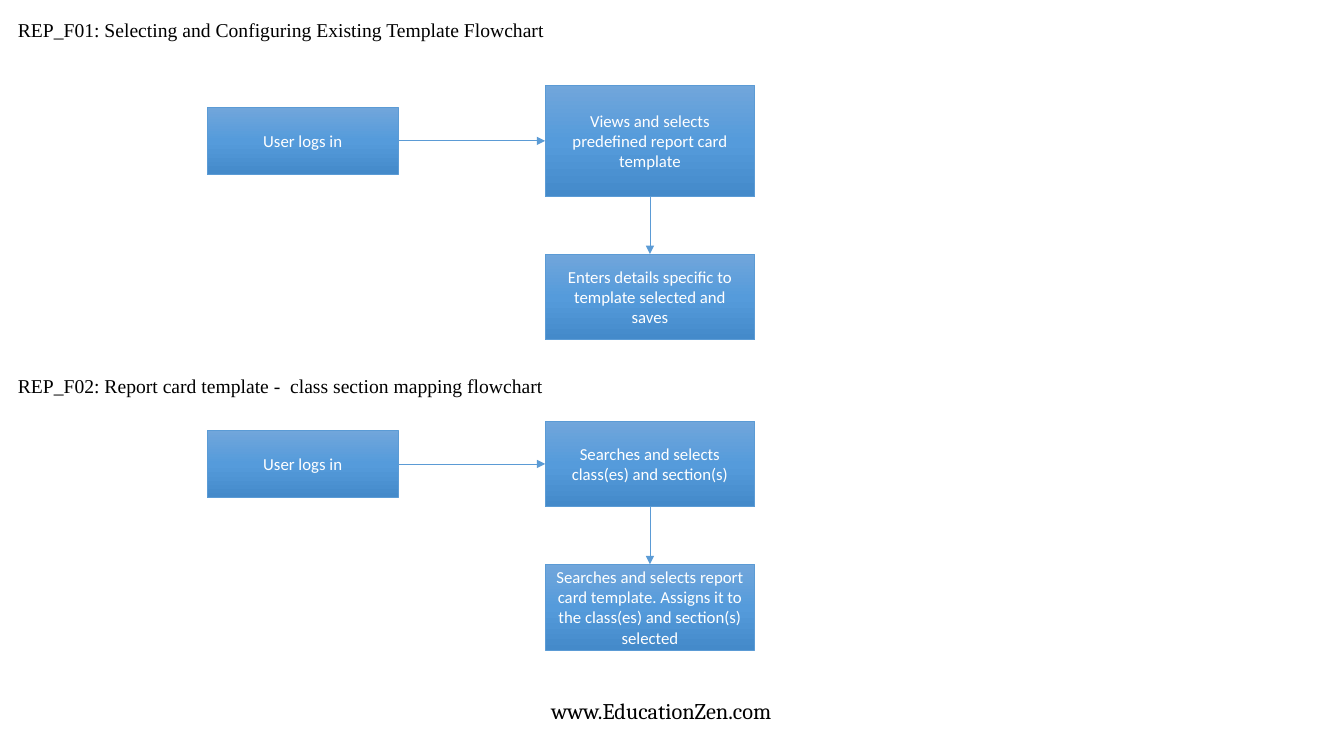
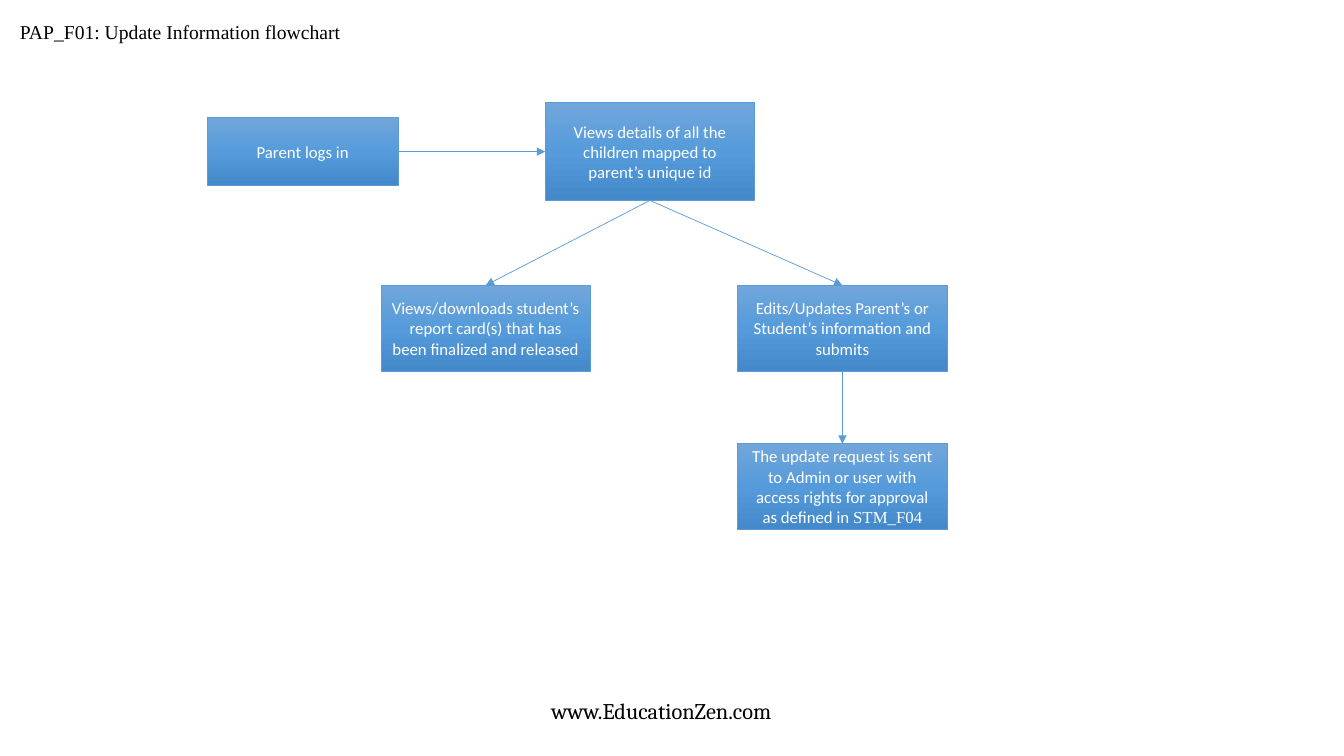
"""Build the report card and parent portal flowchart slides."""
import copy

import lxml.etree
import pptx
import pptx.dml.color
import pptx.enum.shapes
import pptx.enum.text
import pptx.oxml.ns
import pptx.util

Cm = pptx.util.Cm
Pt = pptx.util.Pt
RGBColor = pptx.dml.color.RGBColor
PP_ALIGN = pptx.enum.text.PP_ALIGN
qn = pptx.oxml.ns.qn

BLACK = RGBColor(0x00, 0x00, 0x00)
WHITE = RGBColor(0xFF, 0xFF, 0xFF)
LINE_BLUE = RGBColor(0x5B, 0x9B, 0xD5)
GRADIENT = [
    (0, RGBColor(0x71, 0xA6, 0xDB)),
    (0.5, RGBColor(0x55, 0x9B, 0xDB)),
    (1, RGBColor(0x44, 0x8A, 0xCA)),
]
BODY_FONT, TITLE_FONT, FOOTER_FONT = "Calibri", "Times New Roman", "Cambria"

FOOTER = "www.EducationZen.com"
TOP, LEFT, BOTTOM, RIGHT = range(4)
COLUMNS = {"login": 7.63, "left": 12.24, "main": 16.38, "right": 21.23}
LOGIN_SIZE = (4.8, 1.7)
STEP_WIDTH, STEP_HEIGHT = 5.28, 2.16

SLIDES = [
    {
        "titles": [
            (0.2, 0.23, "REP_F01: Selecting and Configuring Existing Template Flowchart"),
            (0.2, 9.22, "REP_F02: Report card template -  class section mapping flowchart"),
        ],
        "boxes": {
            "login 1": ("login", 3.55, ["User logs in"]),
            "template": ("main", 3.55, ["Views and selects predefined report card template"], 2.82),
            "details": ("main", 7.48, ["Enters details specific to template selected and saves"]),
            "login 2": ("login", 11.69, ["User logs in"]),
            "classes": ("main", 11.69, ["Searches and selects class(es) and section(s)"]),
            "assign": ("main", 15.3, ["Searches and selects report card template. "
                                      "Assigns it to the class(es) and section(s) selected"]),
        },
        "arrows": [
            ("login 1", RIGHT, "template", LEFT),
            ("template", BOTTOM, "details", TOP),
            ("login 2", RIGHT, "classes", LEFT),
            ("classes", BOTTOM, "assign", TOP),
        ],
    },
    {
        "titles": [(0.25, 0.3, "PAP_F01: Update Information flowchart")],
        "boxes": {
            "login": ("login", 3.82, ["Parent logs in"]),
            "children": ("main", 3.82, ["Views details of all the children mapped to "
                                        "parent’s unique id"], 2.46),
            "report": ("left", 8.27, ["Views/downloads student’s report card(s) that has "
                                      "been finalized and released"]),
            "edit": ("right", 8.27, ["Edits/Updates Parent’s or Student’s information and submits"]),
            "approval": ("right", 12.26, ["The update request is sent to Admin or user with "
                                          "access rights for approval as defined in ", "STM_F04"]),
        },
        "arrows": [
            ("login", RIGHT, "children", LEFT),
            ("children", BOTTOM, "report", TOP),
            ("children", BOTTOM, "edit", TOP),
            ("edit", BOTTOM, "approval", TOP),
        ],
    },
]


def add_run(p, text, font, size, color):
    r = p.add_run()
    r.text = text
    r.font.name = font
    r.font.size = Pt(size)
    r.font.color.rgb = color


def add_label(slide, box, text, font, size, align=PP_ALIGN.LEFT, spacing=1):
    tf = slide.shapes.add_textbox(*map(Cm, box)).text_frame
    tf.word_wrap = True
    tf.auto_size = pptx.enum.text.MSO_AUTO_SIZE.SHAPE_TO_FIT_TEXT
    p = tf.paragraphs[0]
    p.alignment = align
    p.line_spacing = spacing
    add_run(p, text, font, size, BLACK)


def fill_gradient(s):
    s.fill.gradient()
    s.fill.gradient_angle = 270
    stops = s.element.spPr.find(".//" + qn("a:gsLst"))
    stops.append(copy.deepcopy(stops[0]))
    for stop, (position, color) in zip(s.fill.gradient_stops, GRADIENT):
        stop.position = position
        stop.color.rgb = color


def add_box(slide, column, middle, texts, height=STEP_HEIGHT):
    w, h = LOGIN_SIZE if column == "login" else (STEP_WIDTH, height)
    s = slide.shapes.add_shape(
        pptx.enum.shapes.MSO_SHAPE.FLOWCHART_PROCESS,
        Cm(COLUMNS[column] - w / 2), Cm(middle - h / 2), Cm(w), Cm(h))
    s.shadow.inherit = False
    fill_gradient(s)
    s.line.color.rgb = LINE_BLUE
    s.line.width = Pt(0.5)
    tf = s.text_frame
    tf.word_wrap = True
    tf.vertical_anchor = pptx.enum.text.MSO_ANCHOR.MIDDLE
    p = tf.paragraphs[0]
    p.alignment = PP_ALIGN.CENTER
    for text, font in zip(texts, (BODY_FONT, TITLE_FONT)):
        add_run(p, text, font, 12, WHITE)
    return s


def add_arrow(slide, start, start_side, end, end_side):
    s = slide.shapes.add_connector(pptx.enum.shapes.MSO_CONNECTOR.STRAIGHT, 0, 0, 0, 0)
    s.begin_connect(start, start_side)
    s.end_connect(end, end_side)
    s.line.color.rgb = LINE_BLUE
    s.line.width = Pt(0.5)
    props = s.element.spPr
    lxml.etree.SubElement(props.find(qn("a:ln")), qn("a:tailEnd"), type="triangle")
    lxml.etree.SubElement(props, qn("a:effectLst"))


def main():
    prs = pptx.Presentation()
    prs.slide_width, prs.slide_height = Cm(33.87), Cm(19.05)
    for content in SLIDES:
        slide = prs.slides.add_slide(prs.slide_layouts[6])
        add_label(slide, (12.07, 17.45, 7.62, 0.94), FOOTER, FOOTER_FONT, 16, PP_ALIGN.RIGHT)
        for left, top, title in content["titles"]:
            add_label(slide, (left, top, 24, 0.9), title, TITLE_FONT, 14, spacing=1.15)
        boxes = {name: add_box(slide, *box) for name, box in content["boxes"].items()}
        for start, start_side, end, end_side in content["arrows"]:
            add_arrow(slide, boxes[start], start_side, boxes[end], end_side)
    prs.save("out.pptx")


if __name__ == "__main__":
    main()
